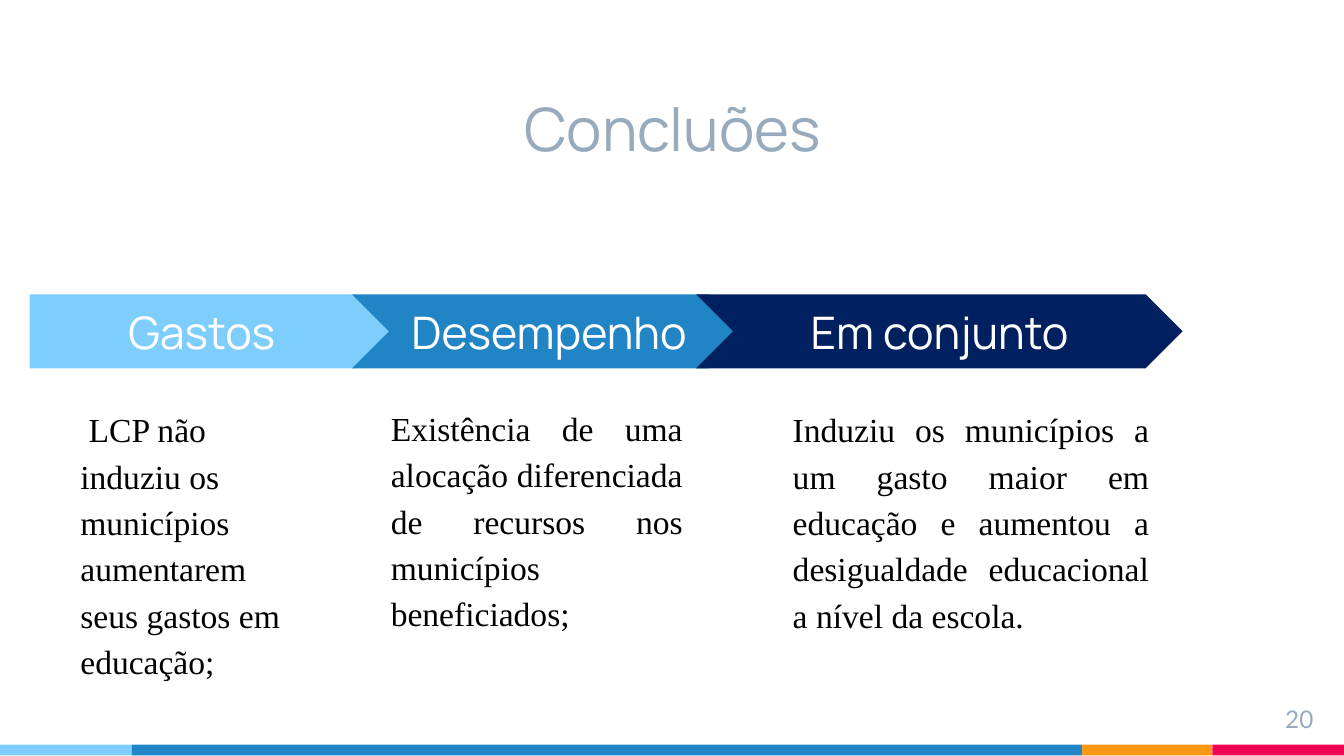
from pptx import Presentation
from pptx.dml.color import RGBColor
from pptx.enum import shapes, text
from pptx.util import Inches, Pt

SKY, BLUE, NAVY, ORANGE, PINK = "7ECEFD", "2185C5", "002060", "FF9715", "F20253"
WHITE, BLACK, GREY = "FFFFFF", "000000", "97ABBC"
PENTAGON = shapes.MSO_SHAPE.PENTAGON
CHEVRON = shapes.MSO_SHAPE.CHEVRON
LEFT, CENTER = text.PP_ALIGN.LEFT, text.PP_ALIGN.CENTER
RIGHT, JUSTIFY = text.PP_ALIGN.RIGHT, text.PP_ALIGN.JUSTIFY
TOP, MIDDLE, BOTTOM = text.MSO_ANCHOR.TOP, text.MSO_ANCHOR.MIDDLE, text.MSO_ANCHOR.BOTTOM

STRIPES = [(0.98, SKY), (7.07, BLUE), (0.97, ORANGE), (0.98, PINK)]
STEPS = [
    ("Gastos", PENTAGON, 0.22, 2.7, SKY),
    ("Desempenho", CHEVRON, 2.62, 2.93, BLUE),
    ("Em conjunto", CHEVRON, 5.18, 3.62, NAVY),
]
FINDINGS = [
    (" LCP não induziu os municípios aumentarem seus gastos em educação;",
     0.5, 2.9, 1.7, LEFT),
    ("Existência de uma alocação diferenciada de recursos nos municípios "
     "beneficiados;", 2.81, 2.89, 2.37, JUSTIFY),
    ("Induziu os municípios a um gasto maior em educação e aumentou a "
     "desigualdade educacional a nível da escola.", 5.8, 2.9, 2.85, JUSTIFY),
]


def rgb(value):
    """Turn a hex string into a colour."""
    return RGBColor.from_string(value)


def write(shape, words, font, size, color, align, anchor=TOP, spacing=1.0):
    """Put one formatted paragraph into a shape."""
    frame = shape.text_frame
    frame.word_wrap = True
    frame.auto_size = text.MSO_AUTO_SIZE.NONE
    frame.vertical_anchor = anchor
    frame.margin_left = frame.margin_right = Inches(0.1)
    frame.margin_top = frame.margin_bottom = Inches(0.1)
    paragraph = frame.paragraphs[0]
    paragraph.alignment = align
    paragraph.line_spacing = spacing
    run = paragraph.add_run()
    run.text = words
    run.font.name = font
    run.font.size = Pt(size)
    run.font.color.rgb = rgb(color)


def add_block(slide, kind, left, top, width, height, color):
    """Draw a flat filled shape without outline."""
    block = slide.shapes.add_shape(
        kind, Inches(left), Inches(top), Inches(width), Inches(height))
    block.shadow.inherit = False
    block.fill.solid()
    block.fill.fore_color.rgb = rgb(color)
    block.line.fill.background()
    return block


def add_label(slide, left, top, width, height, *style, **options):
    """Add a text box with one paragraph."""
    label = slide.shapes.add_textbox(
        Inches(left), Inches(top), Inches(width), Inches(height))
    write(label, *style, **options)


def add_footer(slide):
    """Lay the coloured stripes end to end along the bottom edge."""
    left = 0
    for width, color in STRIPES:
        add_block(slide, shapes.MSO_SHAPE.RECTANGLE, left, 5.54, width, 0.08, color)
        left += width


def set_title(slide, words):
    """Place and format the title placeholder."""
    title = slide.shapes.title
    title.left, title.top = Inches(1.47), Inches(0.38)
    title.width, title.height = Inches(7.07), Inches(0.94)
    write(title, words, "Manrope", 32, GREY, CENTER, BOTTOM)


def main():
    """Build the conclusions slide."""
    deck = Presentation()
    deck.slide_width = Inches(10)
    deck.slide_height = Inches(10 * 9 / 16)
    slide = deck.slides.add_slide(deck.slide_layouts[5])
    add_footer(slide)
    set_title(slide, "Concluões")
    for heading, kind, left, width, color in STEPS:
        step = add_block(slide, kind, left, 2.19, width, 0.55, color)
        write(step, heading, "Manrope", 24, WHITE, CENTER, MIDDLE)
    for finding, left, top, width, align in FINDINGS:
        add_label(slide, left, top, width, 2.15, finding,
                  "Times New Roman", 18, BLACK, align, spacing=1.15)
    add_label(slide, 9.27, 5.14, 0.6, 0.34, "20", "Lato", 13, GREY, RIGHT)
    deck.save("out.pptx")


if __name__ == "__main__":
    main()
